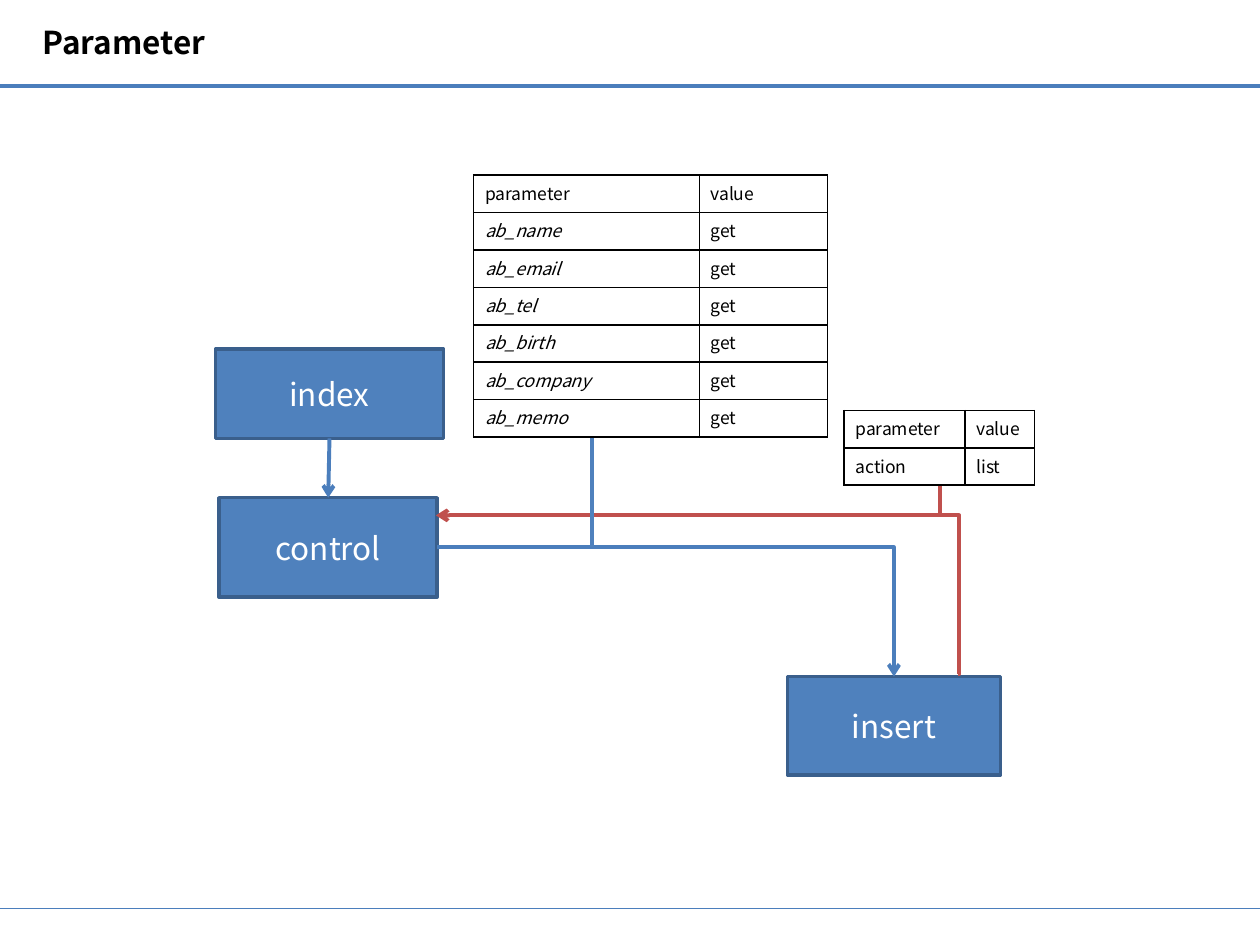
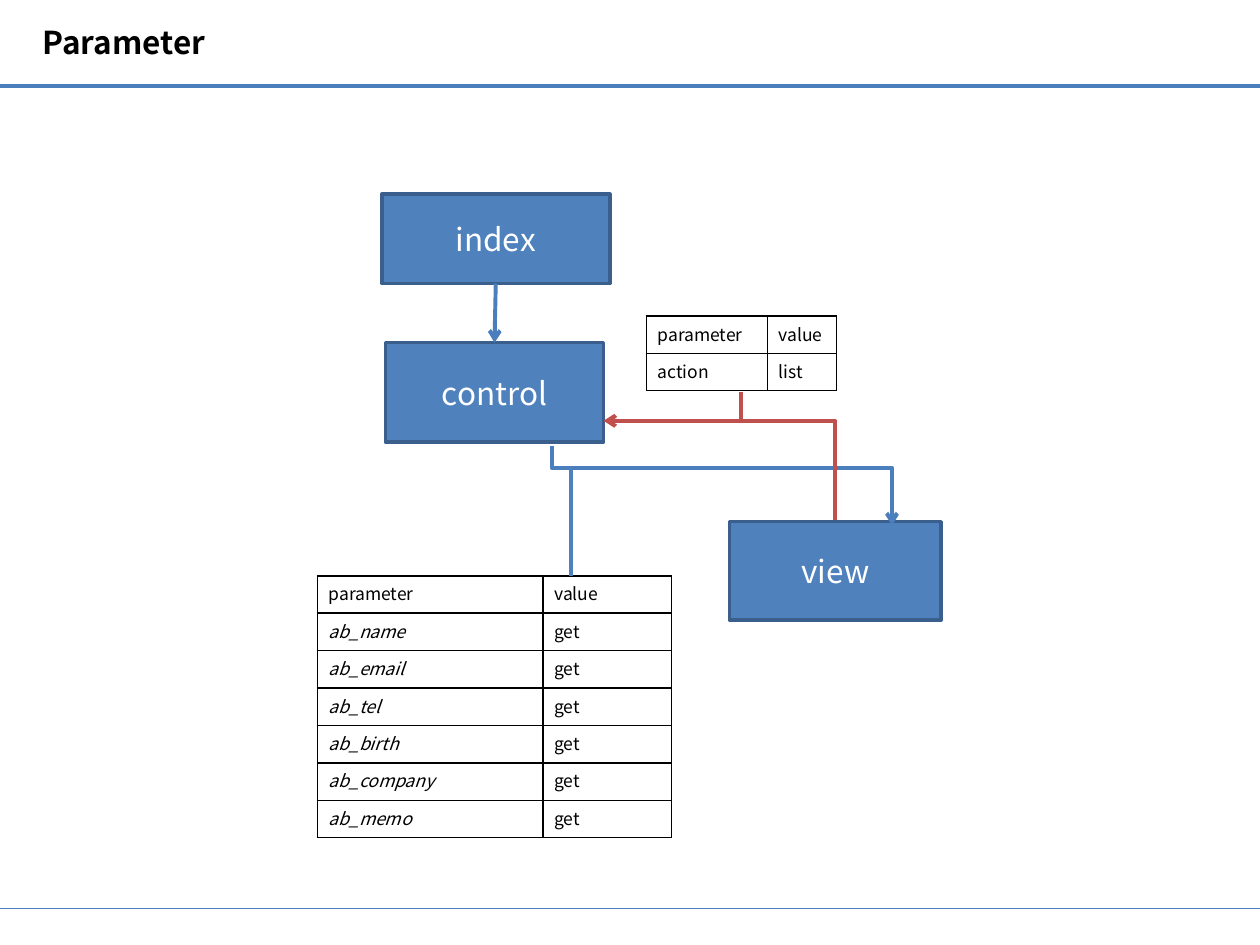
from dataclasses import dataclass
from math import cos, radians, sin
from typing import Optional

from lxml.etree import SubElement
from pptx import Presentation
from pptx.dml.color import RGBColor
from pptx.enum.shapes import MSO_CONNECTOR as ConnectorType, MSO_SHAPE as ShapeType
from pptx.enum.text import MSO_ANCHOR as Anchor, PP_ALIGN as Align
from pptx.oxml.ns import qn
from pptx.util import Emu, Pt

EMU_PER_PX = 9144  # 100 px to the inch


@dataclass(frozen=True)
class Theme:
    font: str = "Noto Sans CJK KR"
    text: str = "000000"
    box_text: str = "FFFFFF"
    box_fill: str = "4F81BD"
    box_border: str = "3A5F8C"
    rule: str = "4B7EBC"
    reply: str = "C0504D"
    heading_size: float = 18
    cell_size: float = 10
    box_line: float = 2
    flow_line: float = 2.25
    thin_line: float = 0.75
    grid_line: float = 1


THEME = Theme()
Point = tuple[int, int]


@dataclass(frozen=True)
class Box:
    label: str
    left: int
    top: int
    width: int
    height: int


@dataclass(frozen=True)
class Line:
    begin: Point
    end: Point
    color: str
    width: float = THEME.flow_line
    arrow: bool = False


@dataclass(frozen=True)
class Elbow:
    """A bent arrow; two segments without a bend, otherwise three."""
    begin: Point
    end: Point
    color: str
    rotation: int = 0
    bend: Optional[float] = None


@dataclass(frozen=True)
class Grid:
    left: int
    top: int
    columns: tuple[int, int]
    height: int
    rows: tuple[tuple[str, str], ...]


@dataclass(frozen=True)
class Diagram:
    entry: Point
    target: Box
    elbows: tuple[Elbow, ...]
    grids: tuple[Grid, ...]
    stems: tuple[Line, ...]
    target_below_control: bool = False


HEADER = ("parameter", "value")
FIELDS = ("name", "email", "tel", "birth", "company", "memo")


def field_grid(left: int, top: int) -> Grid:
    rows = (HEADER, *((f"ab_{field}", "get") for field in FIELDS))
    return Grid(left, top, (179, 102), 208, rows)


def action_grid(left: int, top: int) -> Grid:
    return Grid(left, top, (96, 55), 59, (HEADER, ("action", "list")))


FRAME_LINES = (
    Line((0, 68), (1000, 68), THEME.rule),
    Line((0, 721), (1000, 721), THEME.rule, THEME.thin_line),
)
DIAGRAMS = (
    Diagram(
        entry=(171, 277),
        target=Box("insert", 625, 537, 169, 78),
        target_below_control=True,
        elbows=(Elbow((760, 535), (346, 409), THEME.reply, 180, -0.003),),
        grids=(field_grid(376, 139), action_grid(670, 326)),
        stems=(Line((470, 348), (470, 434), THEME.box_fill),
               Line((746, 386), (746, 410), THEME.reply)),
    ),
    Diagram(
        entry=(303, 154),
        target=Box("view", 579, 414, 168, 78),
        elbows=(Elbow((438, 354), (708, 417), THEME.rule, 270, 0.276),
                Elbow((663, 413), (479, 334), THEME.reply, 270)),
        grids=(field_grid(252, 457), action_grid(513, 251)),
        stems=(Line((453, 371), (453, 457), THEME.box_fill),
               Line((588, 311), (588, 335), THEME.reply)),
    ),
)


def px(length: float) -> Emu:
    return Emu(round(length * EMU_PER_PX))


def rgb(color: str) -> RGBColor:
    return RGBColor.from_string(color)


def add_run(paragraph, text: str, size: float, color: str,
            bold: bool = False, italic: bool = False) -> None:
    run = paragraph.add_run()
    run.text = text
    font = run.font
    font.name, font.size = THEME.font, Pt(size)
    font.bold, font.italic = bold, italic
    font.color.rgb = rgb(color)


def style_connector(connector, color: str, width: float, arrow: bool) -> None:
    connector.line.color.rgb = rgb(color)
    connector.line.width = Pt(width)
    properties = connector.element.spPr
    if arrow:
        SubElement(properties.find(qn("a:ln")), qn("a:tailEnd"), type="arrow")
    SubElement(properties, qn("a:effectLst"))


def draw_line(slide, line: Line):
    connector = slide.shapes.add_connector(
        ConnectorType.STRAIGHT, *map(px, line.begin + line.end))
    style_connector(connector, line.color, line.width, line.arrow)
    return connector


def draw_elbow(slide, elbow: Elbow):
    """Place the ends turned back about the middle, then rotate the connector."""
    (x1, y1), (x2, y2) = elbow.begin, elbow.end
    middle_x, middle_y = (x1 + x2) / 2, (y1 + y2) / 2
    cosine, sine = cos(radians(elbow.rotation)), sin(radians(elbow.rotation))
    dx, dy = x1 - middle_x, y1 - middle_y
    turned_x, turned_y = dx * cosine + dy * sine, dy * cosine - dx * sine
    connector = slide.shapes.add_connector(
        ConnectorType.ELBOW,
        px(middle_x + turned_x), px(middle_y + turned_y),
        px(middle_x - turned_x), px(middle_y - turned_y))
    properties = connector.element.spPr
    if elbow.rotation:
        properties.find(qn("a:xfrm")).set("rot", str(elbow.rotation * 60000))
    geometry = properties.find(qn("a:prstGeom"))
    if elbow.bend is None:
        geometry.set("prst", "bentConnector2")
    else:
        SubElement(geometry.find(qn("a:avLst")), qn("a:gd"),
                   name="adj1", fmla=f"val {round(elbow.bend * 100000)}")
    style_connector(connector, elbow.color, THEME.flow_line, arrow=True)
    return connector


def draw_box(slide, box: Box):
    shape = slide.shapes.add_shape(
        ShapeType.RECTANGLE, px(box.left), px(box.top), px(box.width), px(box.height))
    shape.shadow.inherit = False
    shape.fill.solid()
    shape.fill.fore_color.rgb = rgb(THEME.box_fill)
    shape.line.color.rgb = rgb(THEME.box_border)
    shape.line.width = Pt(THEME.box_line)
    shape.text_frame.vertical_anchor = Anchor.MIDDLE
    paragraph = shape.text_frame.paragraphs[0]
    paragraph.alignment = Align.CENTER
    add_run(paragraph, box.label, THEME.heading_size, THEME.box_text)
    return shape


def style_cell(cell) -> None:
    cell.margin_left = cell.margin_right = px(9)
    cell.margin_top = cell.margin_bottom = px(4)
    properties = cell._tc.get_or_add_tcPr()
    for side in ("lnL", "lnR", "lnT", "lnB"):
        border = SubElement(properties, qn(f"a:{side}"), w=str(Pt(THEME.grid_line)))
        fill = SubElement(border, qn("a:solidFill"))
        SubElement(fill, qn("a:srgbClr"), val=THEME.text)
    cell.fill.background()


def draw_grid(slide, grid: Grid) -> None:
    table = slide.shapes.add_table(
        len(grid.rows), len(grid.columns), px(grid.left), px(grid.top),
        px(sum(grid.columns)), px(grid.height)).table
    table.first_row = table.horz_banding = False
    for column, width in zip(table.columns, grid.columns):
        column.width = px(width)
    for row_index, texts in enumerate(grid.rows):
        table.rows[row_index].height = px(grid.height / len(grid.rows))
        for column_index, text in enumerate(texts):
            cell = table.cell(row_index, column_index)
            style_cell(cell)
            add_run(cell.text_frame.paragraphs[0], text, THEME.cell_size,
                    THEME.text, italic=text.startswith("ab_"))


def draw_title(slide, title: str) -> None:
    frame = slide.shapes.add_textbox(px(24), px(13), px(240), px(40)).text_frame
    frame.word_wrap = True
    add_run(frame.paragraphs[0], title, THEME.heading_size, THEME.text, bold=True)


def draw_diagram(slide, diagram: Diagram) -> None:
    left, top = diagram.entry
    index = draw_box(slide, Box("index", left, top, 181, 71))
    control = draw_box(slide, Box("control", left + 3, top + 118, 173, 79))
    call = draw_line(slide, Line((left + 90, top + 71), (left + 90, top + 118),
                                 THEME.rule, arrow=True))
    call.begin_connect(index, 2)
    call.end_connect(control, 0)
    target = draw_box(slide, diagram.target)
    if diagram.target_below_control:
        request = draw_elbow(slide, Elbow(
            (left + 176, top + 157),
            (diagram.target.left + 84, diagram.target.top), THEME.rule))
        request.begin_connect(control, 3)
        request.end_connect(target, 0)
    for elbow in diagram.elbows:
        draw_elbow(slide, elbow)
    for grid, stem in zip(diagram.grids, diagram.stems):
        draw_grid(slide, grid)
        draw_line(slide, stem)


def main() -> None:
    presentation = Presentation()
    presentation.slide_width, presentation.slide_height = px(1000), px(750)
    blank_layout = presentation.slide_layouts[6]
    for diagram in DIAGRAMS:
        slide = presentation.slides.add_slide(blank_layout)
        for line in FRAME_LINES:
            draw_line(slide, line)
        draw_diagram(slide, diagram)
        draw_title(slide, "Parameter")
    presentation.save("out.pptx")


if __name__ == "__main__":
    main()
